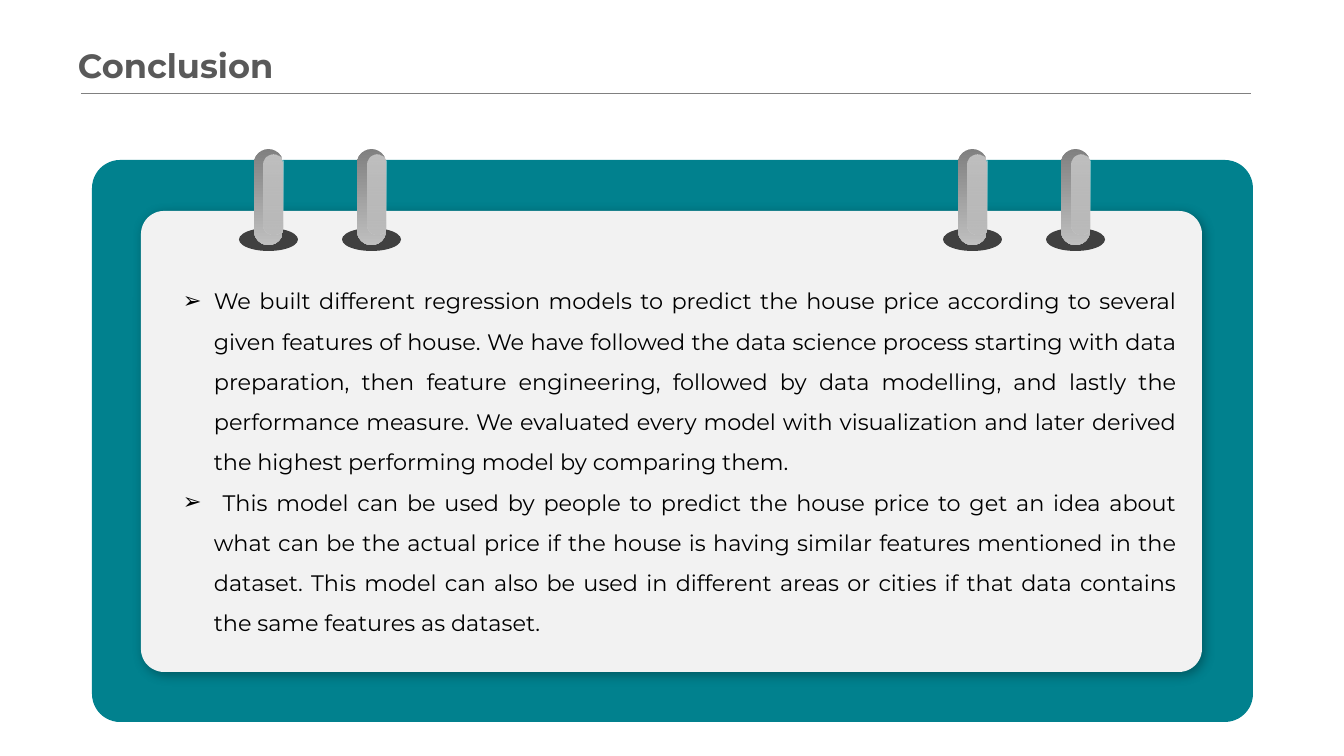
"""Build a conclusion slide with two points on a ring-bound note pad."""
from lxml import etree
from pptx import Presentation
from pptx.dml.color import RGBColor
from pptx.enum.shapes import MSO_CONNECTOR, MSO_SHAPE
from pptx.enum.text import MSO_ANCHOR, MSO_AUTO_SIZE, PP_ALIGN
from pptx.oxml.ns import qn
from pptx.util import Pt

TITLE = "Conclusion"
POINTS = [
    "We built different regression models to predict the house price according to several "
    "given features of house. We have followed the data science process starting with data "
    "preparation, then feature engineering, followed by data modelling, and lastly the "
    "performance measure. We evaluated every model with visualization and later derived "
    "the highest performing model by comparing them.",
    " This model can be used by people to predict the house price to get an idea about "
    "what can be the actual price if the house is having similar features mentioned in the "
    "dataset. This model can also be used in different areas or cities if that data contains "
    "the same features as dataset.",
]
THEME = {
    "font": "Montserrat", "title": 24, "body": 16,
    "head": "595959", "ink": "000000", "rule": "808080",
    "board": "01818E", "card": "F2F2F2", "hole": "404040",
    "bar": [("808080", 100), ("BFBFBF", 100)],
    "shine": [("FFFFFF", 49), ("BFBFBF", 38)],
}
BOARD = (92, 160, 1161, 562)
CARD = (141, 211, 1061, 461)
PAIRS, STEP = (239, 943), 103

ROUND, OVAL = MSO_SHAPE.ROUNDED_RECTANGLE, MSO_SHAPE.OVAL
LINE = MSO_CONNECTOR.STRAIGHT
TOP, MID = MSO_ANCHOR.TOP, MSO_ANCHOR.MIDDLE
LEFT, FULL = PP_ALIGN.LEFT, PP_ALIGN.JUSTIFY
GROW, FIXED = MSO_AUTO_SIZE.SHAPE_TO_FIT_TEXT, MSO_AUTO_SIZE.NONE
EMU = 914400 / 100.8


def px(n):
    return round(n * EMU)


def rgb(code):
    return RGBColor.from_string(code)


def node(parent, tag, **attrs):
    return etree.SubElement(parent, qn(tag), {k: str(v) for k, v in attrs.items()})


def add_form(slide, kind, box, fill, curve=None):
    form = slide.shapes.add_shape(kind, *map(px, box))
    form.shadow.inherit = False
    form.line.fill.background()
    if curve is not None:
        form.adjustments[0] = curve
    if isinstance(fill, str):
        form.fill.solid()
        form.fill.fore_color.rgb = rgb(fill)
        return form
    form.fill.gradient()
    form.fill.gradient_angle = 270
    for stop, (code, _) in zip(form.fill.gradient_stops, fill):
        stop.color.rgb = rgb(code)
    for clr, (_, share) in zip(form._element.spPr.iter(qn("a:srgbClr")), fill):
        if share < 100:
            node(clr, "a:alpha", val=share * 1000)
    return form


def add_shade(form):
    fx = form._element.spPr.find(qn("a:effectLst"))
    cast = node(fx, "a:outerShdw", blurRad=Pt(8), dist=Pt(3), dir=45 * 60000,
                algn="tl", rotWithShape=0)
    node(node(cast, "a:srgbClr", val="000000"), "a:alpha", val=29000)


def add_text(slide, box, lines, size, color, bold=False, align=LEFT,
             anchor=TOP, fit=FIXED, space=None, mark=None, indent=0):
    frame = slide.shapes.add_textbox(*map(px, box)).text_frame
    frame.word_wrap = True
    frame.auto_size = fit
    frame.vertical_anchor = anchor
    for i, line in enumerate(lines):
        para = frame.add_paragraph() if i else frame.paragraphs[0]
        para.alignment = align
        para.line_spacing = space
        run = para.add_run()
        run.text = line
        font = run.font
        font.name, font.size, font.bold = THEME["font"], Pt(size), bold
        font.color.rgb = rgb(color)
        if mark:
            props = para._p.get_or_add_pPr()
            props.set("marL", str(px(indent)))
            props.set("indent", str(-px(indent)))
            node(props, "a:buFont", typeface="Arial")
            node(props, "a:buChar", char=mark)


def add_rule(slide, x, y, end):
    rule = slide.shapes.add_connector(LINE, px(x), px(y), px(end), px(y))
    rule.line.color.rgb = rgb(THEME["rule"])
    rule.line.width = Pt(0.5)
    node(rule._element.spPr, "a:effectLst")


def add_ring(slide, x):
    add_form(slide, OVAL, (x, 228, 59, 23), THEME["hole"])
    add_form(slide, ROUND, (x + 15, 149, 29, 96), THEME["bar"], 0.5)
    add_form(slide, ROUND, (x + 25, 155, 19, 79), THEME["shine"], 0.5)


def main():
    deck = Presentation()
    deck.slide_width, deck.slide_height = px(1344), px(756)
    slide = deck.slides.add_slide(deck.slide_layouts[6])
    add_form(slide, ROUND, BOARD, THEME["board"], 0.05)
    add_shade(add_form(slide, ROUND, CARD, THEME["card"], 0.05))
    for start in PAIRS:
        for i in range(2):
            add_ring(slide, start + i * STEP)
    add_text(slide, (68, 38, 773, 54), [TITLE], THEME["title"], THEME["head"],
             bold=True, anchor=MID)
    add_rule(slide, 81, 93, 1251)
    add_text(slide, (173, 269, 1014, 373), POINTS, THEME["body"], THEME["ink"],
             align=FULL, fit=GROW, space=1.5, mark="➢", indent=31)
    deck.save("out.pptx")


if __name__ == "__main__":
    main()
